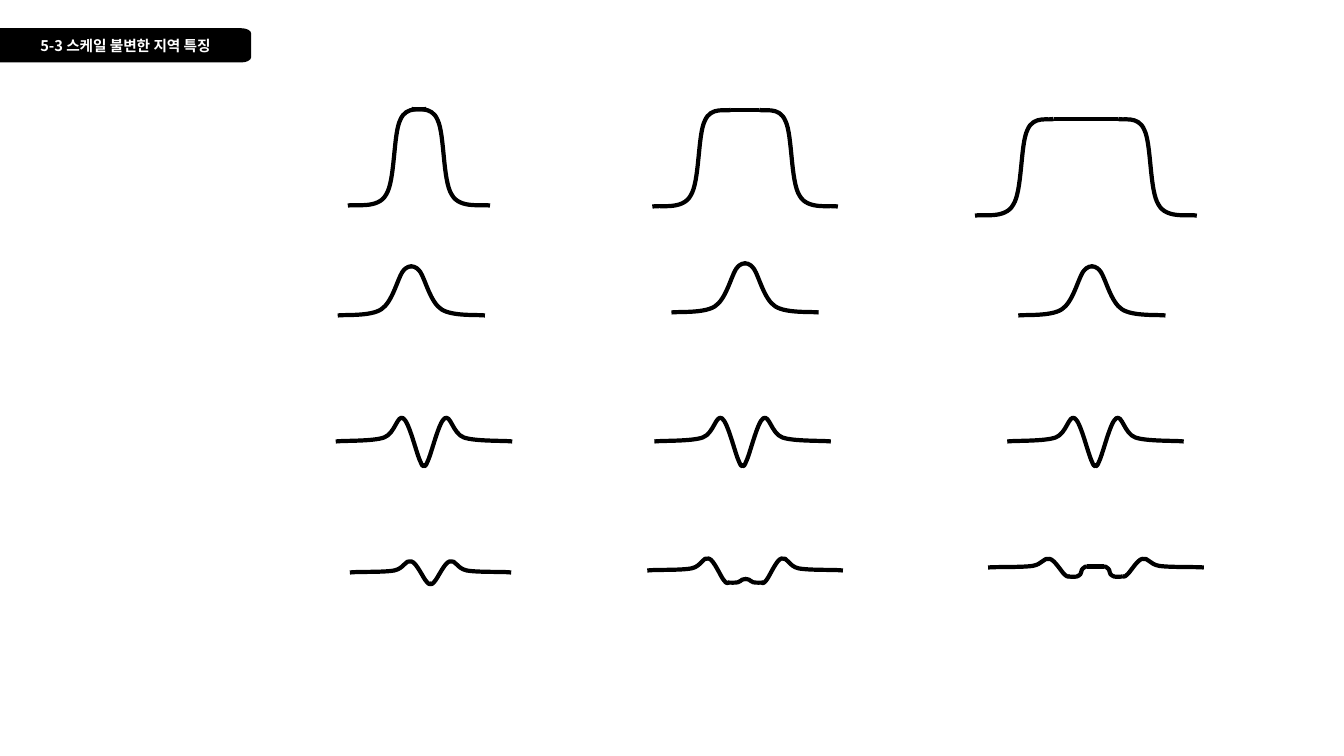
from lxml.etree import SubElement
from pptx import Presentation
from pptx.dml.color import RGBColor
from pptx.enum.shapes import MSO_CONNECTOR as Conn
from pptx.enum.text import MSO_ANCHOR as Anchor, MSO_AUTO_SIZE as Auto, PP_ALIGN as Align
from pptx.oxml.ns import qn
from pptx.util import Inches, Pt

# Left half of each curve: cubic points (two handles, then the end) in inches
# from the outer foot. The right half is its mirror image.
STEP = [(.06, -.02), (.30, .04), (.38, -.11),
        (.47, -.25), (.45, -.71), (.52, -.85),
        (.58, -1), (.74, -.94), (.78, -.96)]
BELL = [(.07, -.01), (.32, .01), (.43, -.06),
        (.54, -.13), (.59, -.35), (.64, -.43),
        (.69, -.50), (.72, -.48), (.74, -.49)]
WAVE = [(.08, -.01), (.37, 0), (.48, -.04),
        (.59, -.08), (.61, -.27), (.67, -.23),
        (.73, -.19), (.80, .12), (.84, .20),
        (.87, .28), (.88, .23), (.89, .23)]
DIP = [(.07, -.01), (.33, 0), (.44, -.02),
       (.54, -.04), (.55, -.13), (.61, -.11),
       (.66, -.10), (.73, .06), (.76, .09),
       (.79, .13), (.80, .11), (.81, .11)]
BUMP = [(.02, 0), (.08, .01), (.10, -.01),
        (.13, -.02), (.12, -.07), (.14, -.08),
        (.15, -.10), (.18, -.10), (.18, -.10)]

# One entry per drawing: its parts as (form, left foot, right foot, base, height scale)
BELL_SPAN, WAVE_SPAN, WAVE_BASE = 1.46, 1.75, 4.38
STEPS = [[(STEP, left, right, base, 1)]
         for left, right, base in [(3.45, 4.86, 2.04), (6.47, 8.31, 2.05), (9.67, 11.87, 2.14)]]
BELLS = [[(BELL, left, left + BELL_SPAN, base, 1)]
         for left, base in [(3.35, 3.13), (6.66, 3.1), (10.1, 3.13)]]
WAVES = [[(WAVE, left, left + WAVE_SPAN, WAVE_BASE, 1)] for left in (3.33, 6.49, 9.99)]
REPLIES = [
    [(DIP, 3.47, 5.07, 5.68, 1)],
    [(DIP, 6.42, 8.36, 5.66, 1.08), (BUMP, 7.22, 7.57, 5.78, .35)],
    [(DIP, 9.8, 11.94, 5.63, .78), (BUMP, 10.6, 11.13, 5.72, 1)],
]
FLAT_TOPS = (STEP, BUMP)  # forms whose halves are joined by a line when apart


def color(code):
    return RGBColor.from_string(code)


def write(frame, text, size=10.5, font="Noto Sans CJK KR", fill="FFFFFF",
          bold=True, align=Align.CENTER):
    frame.word_wrap = True
    frame.auto_size = Auto.NONE
    frame.vertical_anchor = Anchor.MIDDLE
    para = frame.paragraphs[0]
    para.alignment = align
    run = para.add_run()
    run.text = text
    run.font.size = Pt(size)
    run.font.bold = bold
    run.font.color.rgb = color(fill)
    run.font.name = font
    SubElement(run.font._element, qn("a:ea")).set("typeface", font)


class Board:
    def __init__(self, slide, ink="000000", width=3):
        self.slide, self.ink, self.width = slide, ink, width

    def stroke(self, line):
        line.color.rgb = color(self.ink)
        line.width = Pt(self.width)

    def outline(self, shapes, start, parts, close=False):
        """Each part holds one point for a line or three for a cubic curve."""
        points = [(Inches(x), Inches(y)) for part in parts for x, y in part]
        pen = shapes.build_freeform(Inches(start[0]), Inches(start[1]))
        pen.add_line_segments(points, close=close)
        shape = pen.convert_to_shape()
        shape.shadow.inherit = False

        # Merge the three line steps of each curve into one cubic step
        lines = iter(list(shape._element.iter(qn("a:lnTo"))))
        for part in parts:
            steps = [next(lines) for _ in part]
            if len(part) == 3:
                trace = steps[0].getparent()
                curve = SubElement(trace, qn("a:cubicBezTo"))
                steps[0].addprevious(curve)
                for step in steps:
                    curve.append(step[0])
                    trace.remove(step)
        return shape

    def half(self, shapes, form, foot, base, scale, side):
        """Draw one half; side is 1 to run right from the foot, -1 to run left."""
        points = [(foot + side * dx, base + scale * dy) for dx, dy in form]
        parts = [points[i:i + 3] for i in range(0, len(points), 3)]
        shape = self.outline(shapes, (foot, base), parts)
        shape.fill.background()
        self.stroke(shape.line)

    def flat(self, shapes, left, right, y):
        line = shapes.add_connector(Conn.STRAIGHT, Inches(left), Inches(y),
                                    Inches(right), Inches(y))
        self.stroke(line.line)
        SubElement(line._element.spPr, qn("a:effectLst"))

    def drawing(self, parts):
        """Group the mirrored halves of every part, with a flat top over any gap."""
        shapes = self.slide.shapes.add_group_shape().shapes
        for form, left, right, base, scale in parts:
            self.half(shapes, form, left, base, scale, 1)
            self.half(shapes, form, right, base, scale, -1)
            reach, rise = form[-1]
            if form in FLAT_TOPS and right - left > 2 * reach:
                self.flat(shapes, left + reach, right - reach, base + scale * rise)

    def header(self, text, top, width, height, round_x=.1, round_y=.05):
        """A tab from the slide's left edge with its two right corners rounded."""
        low, bend = top + height, width - round_x
        pull_x, pull_y = round_x * .45, round_y * .45
        tab = self.outline(self.slide.shapes, (0, top), [
            [(bend, top)],
            [(width - pull_x, top), (width, top + pull_y), (width, top + round_y)],
            [(width, low - round_y)],
            [(width, low - pull_y), (width - pull_x, low), (bend, low)],
            [(0, low)]], close=True)
        tab.fill.solid()
        tab.fill.fore_color.rgb = color(self.ink)
        tab.line.fill.background()

        # Lay the title over the tab
        title = self.slide.shapes.title
        title.left, title.top = Inches(0), Inches(top)
        title.width, title.height = Inches(width), Inches(height)
        write(title.text_frame, text)
        tab._element.addnext(title._element)


def main():
    deck = Presentation()
    deck.slide_width, deck.slide_height = Inches(13.33), Inches(7.5)
    title_only = deck.slide_layouts[5]
    board = Board(deck.slides.add_slide(title_only))

    # Section header
    board.header("5-3 스케일 불변한 지역 특징", top=.28, width=2.49, height=.34)

    # Rows of curves, from top to bottom
    for row in (STEPS, BELLS, WAVES, REPLIES):
        for parts in row:
            board.drawing(parts)

    deck.save("out.pptx")


if __name__ == "__main__":
    main()
